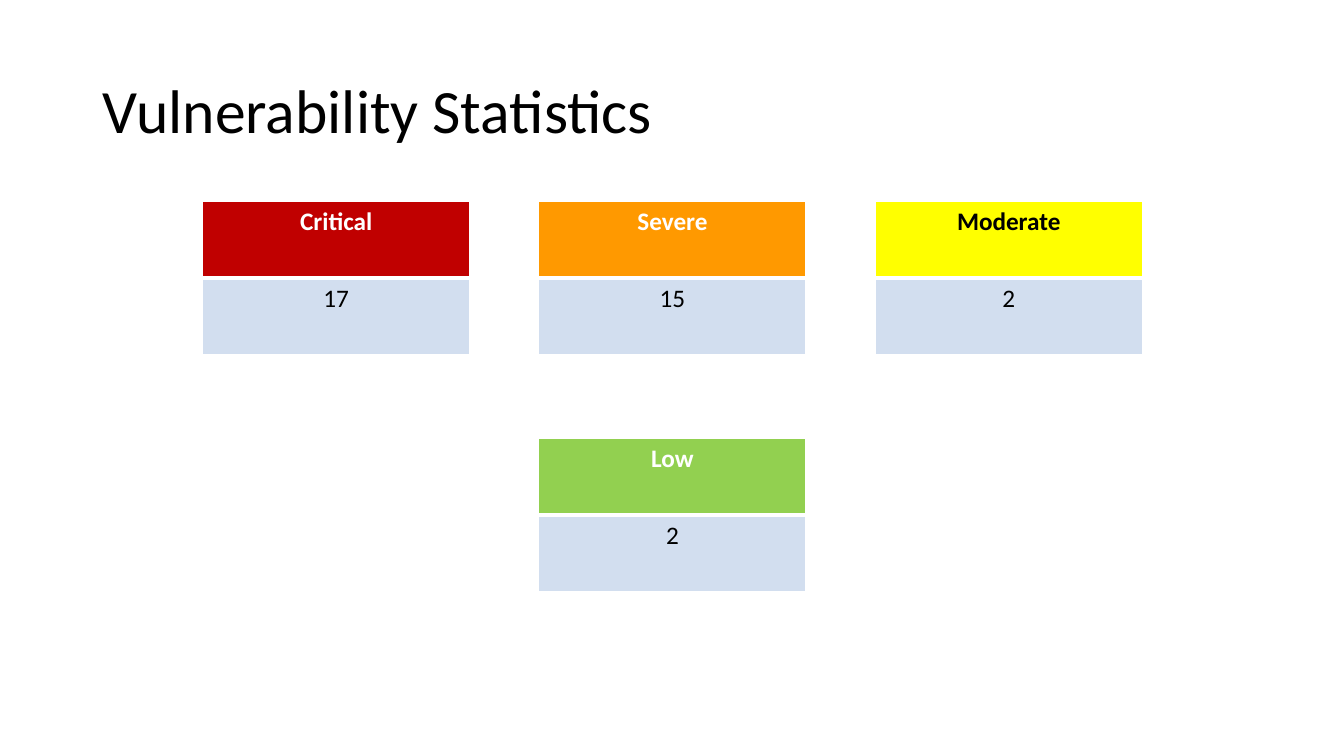
from pptx import Presentation
from pptx.dml.color import RGBColor
from pptx.enum.text import MSO_ANCHOR, PP_ALIGN
from pptx.oxml import parse_xml
from pptx.oxml.ns import nsdecls
from pptx.util import Inches, Pt

WHITE = RGBColor(0xFF, 0xFF, 0xFF)
BLACK = RGBColor(0x00, 0x00, 0x00)
RED = RGBColor(0xC0, 0x00, 0x00)
ORANGE = RGBColor(0xFF, 0x99, 0x00)
YELLOW = RGBColor(0xFF, 0xFF, 0x00)
GREEN = RGBColor(0x92, 0xD0, 0x50)
PALE_BLUE = RGBColor(0xD2, 0xDE, 0xEF)

FONT = "Calibri"
CARD_LEFT, CARD_TOP = 2.01, 2.0
COLUMN_STEP, ROW_STEP = 3.335, 2.35
CARD_WIDTH, CELL_HEIGHT = 2.65, 0.76

# Severity, count, header fill, header text colour, grid column, grid row
SEVERITIES = [
    ("Critical", 17, RED, WHITE, 0, 0),
    ("Severe", 15, ORANGE, WHITE, 1, 0),
    ("Moderate", 2, YELLOW, BLACK, 2, 0),
    ("Low", 2, GREEN, WHITE, 1, 1),
]


def style_font(para, size, color, bold=False):
    font = para.font
    font.name, font.size, font.bold = FONT, Pt(size), bold
    font.color.rgb = color


def add_title(page, text):
    title = page.shapes.title
    title.left, title.top = Inches(0.92), Inches(0.4)
    title.width, title.height = Inches(11.5), Inches(1.45)
    title.text_frame.text = text
    title.text_frame.vertical_anchor = MSO_ANCHOR.MIDDLE
    para = title.text_frame.paragraphs[0]
    para.alignment = PP_ALIGN.LEFT
    para.line_spacing = 0.9
    style_font(para, 44, BLACK)


def set_borders(cell, widths):
    """Add white borders; they must come before the fill in the cell properties."""
    properties = cell._tc.get_or_add_tcPr()
    for index, (side, width) in enumerate(widths.items()):
        properties.insert(index, parse_xml(
            f'<a:ln{side} {nsdecls("a")} w="{Pt(width)}"><a:solidFill>'
            f'<a:srgbClr val="{WHITE}"/></a:solidFill></a:ln{side}>'))


def fill_cell(cell, text, fill, color, bold, widths):
    cell.text = text
    cell.fill.solid()
    cell.fill.fore_color.rgb = fill
    para = cell.text_frame.paragraphs[0]
    para.alignment = PP_ALIGN.CENTER
    style_font(para, 18, color, bold)
    set_borders(cell, widths)


def add_severity_card(page, name, count, fill, color, column, row):
    table = page.shapes.add_table(
        2, 1,
        Inches(CARD_LEFT + column * COLUMN_STEP), Inches(CARD_TOP + row * ROW_STEP),
        Inches(CARD_WIDTH), Inches(2 * CELL_HEIGHT)).table
    # The thick line separates the header from the count
    fill_cell(table.cell(0, 0), name, fill, color, True,
              {"L": 1, "R": 1, "T": 1, "B": 3})
    fill_cell(table.cell(1, 0), str(count), PALE_BLUE, BLACK, False,
              {"L": 1, "R": 1, "T": 3, "B": 1})


def main():
    deck = Presentation()
    deck.slide_width, deck.slide_height = Inches(13.33), Inches(7.5)
    page = deck.slides.add_slide(deck.slide_layouts[5])
    add_title(page, "Vulnerability Statistics")
    for severity in SEVERITIES:
        add_severity_card(page, *severity)
    deck.save("out.pptx")


if __name__ == "__main__":
    main()
